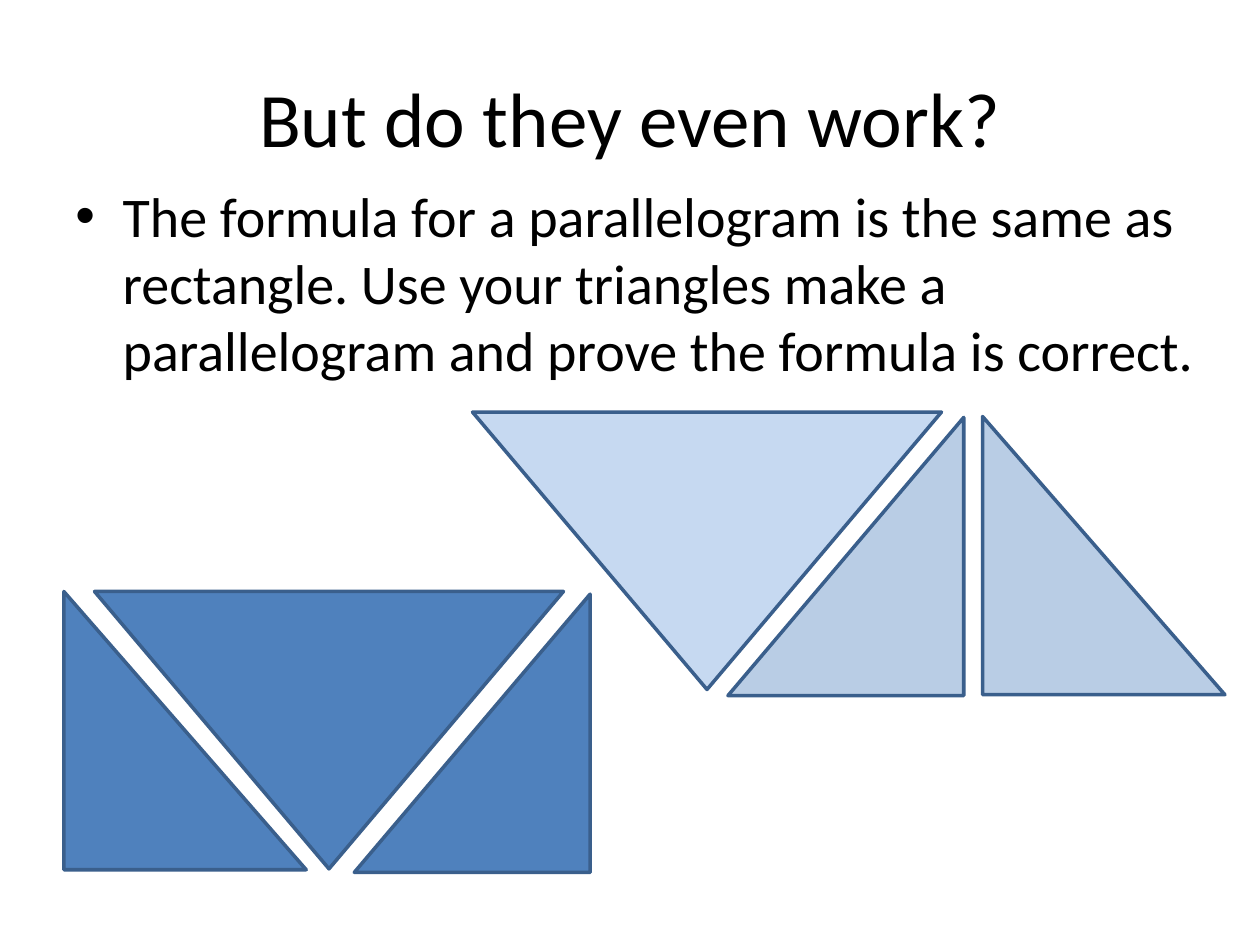
from pptx import Presentation
from pptx import util as u
from pptx.dml.color import RGBColor
from pptx.enum import shapes, text
from pptx.oxml.ns import qn
from lxml import etree


def rgb(value):
    """Turn a hex string into a colour."""
    return RGBColor.from_string(value)


class Deck:
    """Hold the style and the current slide."""

    ink, outline, face = "000000", "3A5F8C", "Calibri"

    def __init__(self, prs):
        """Add a title-only slide."""
        self.s = prs.slides.add_slide(prs.slide_layouts[5])

    def place(self, sp, box):
        """Set the position and size of a shape."""
        for name, value in zip(("left", "top", "width", "height"), box):
            setattr(sp, name, u.Pt(value))

    def add_words(self, p, words, size):
        """Add one formatted run."""
        r = p.add_run()
        r.text = words
        for name, value in {"name": self.face, "size": u.Pt(size)}.items():
            setattr(r.font, name, value)
        r.font.color.rgb = rgb(self.ink)

    def title(self, words, box, size=44):
        """Fill and move the title placeholder."""
        sp = self.s.shapes.title
        self.place(sp, box)
        tf = sp.text_frame
        tf.vertical_anchor = text.MSO_ANCHOR.MIDDLE
        p = tf.paragraphs[0]
        p.alignment = text.PP_ALIGN.CENTER
        self.add_words(p, words, size)

    def bullet(self, words, box, size=32, indent=27):
        """Add a text box with one bulleted paragraph."""
        tf = self.s.shapes.add_textbox(*map(u.Pt, box)).text_frame
        tf.word_wrap = True
        p = tf.paragraphs[0]
        pr = p._p.get_or_add_pPr()
        for name, value in {"marL": indent, "indent": -indent}.items():
            pr.set(name, str(u.Pt(value)))
        etree.SubElement(pr, qn("a:buFont")).set("typeface", "Arial")
        etree.SubElement(pr, qn("a:buChar")).set("char", "•")
        self.add_words(p, words, size)

    def triangle(self, kind, box, fill, rotation=0, flip=False):
        """Add an outlined triangle."""
        sp = self.s.shapes.add_shape(kind, *map(u.Pt, box))
        sp.shadow.inherit = False
        sp.rotation = rotation
        if flip:
            sp._element.spPr.find(qn("a:xfrm")).set("flipH", "1")
        sp.fill.solid()
        sp.fill.fore_color.rgb = rgb(fill)
        sp.line.color.rgb = rgb(self.outline)
        sp.line.width = u.Pt(2)

    def triangle_set(self, whole, right, left, whole_fill, half_fill):
        """Add an inverted triangle and its two halves at given corners."""
        kinds = shapes.MSO_SHAPE
        self.triangle(kinds.ISOSCELES_TRIANGLE, (*whole, 268, 158.5), whole_fill, rotation=180)
        self.triangle(kinds.RIGHT_TRIANGLE, (*right, 134.75, 159), half_fill, flip=True)
        self.triangle(kinds.RIGHT_TRIANGLE, (*left, 138.5, 159), half_fill)


def main():
    """Build the slide."""
    prs = Presentation()
    prs.slide_width, prs.slide_height = u.Pt(720), u.Pt(540)
    deck = Deck(prs)
    deck.title("But do they even work?", (36, 21.6, 648, 90))
    deck.bullet(
        "The formula for a parallelogram is the same as rectangle. Use your triangles "
        "make a parallelogram and prove the formula is correct.",
        (36, 100, 659, 291.6),
    )
    deck.triangle_set((54, 338), (202.5, 339.5), (36.5, 338), "4F81BD", "4F81BD")
    deck.triangle_set((270, 235.5), (416, 238.5), (561.5, 238), "C6D9F1", "B9CDE5")
    prs.save("out.pptx")


if __name__ == "__main__":
    main()
